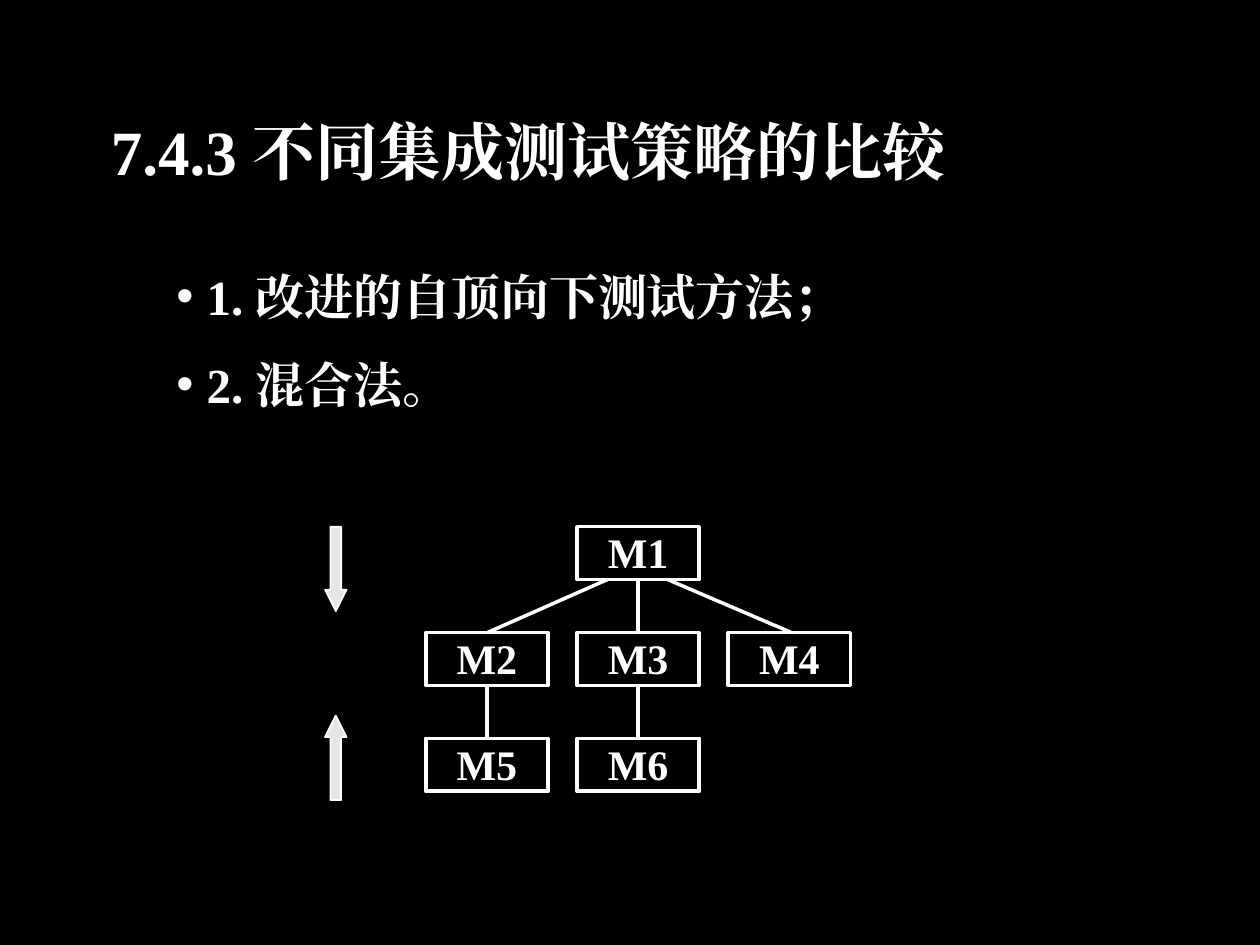
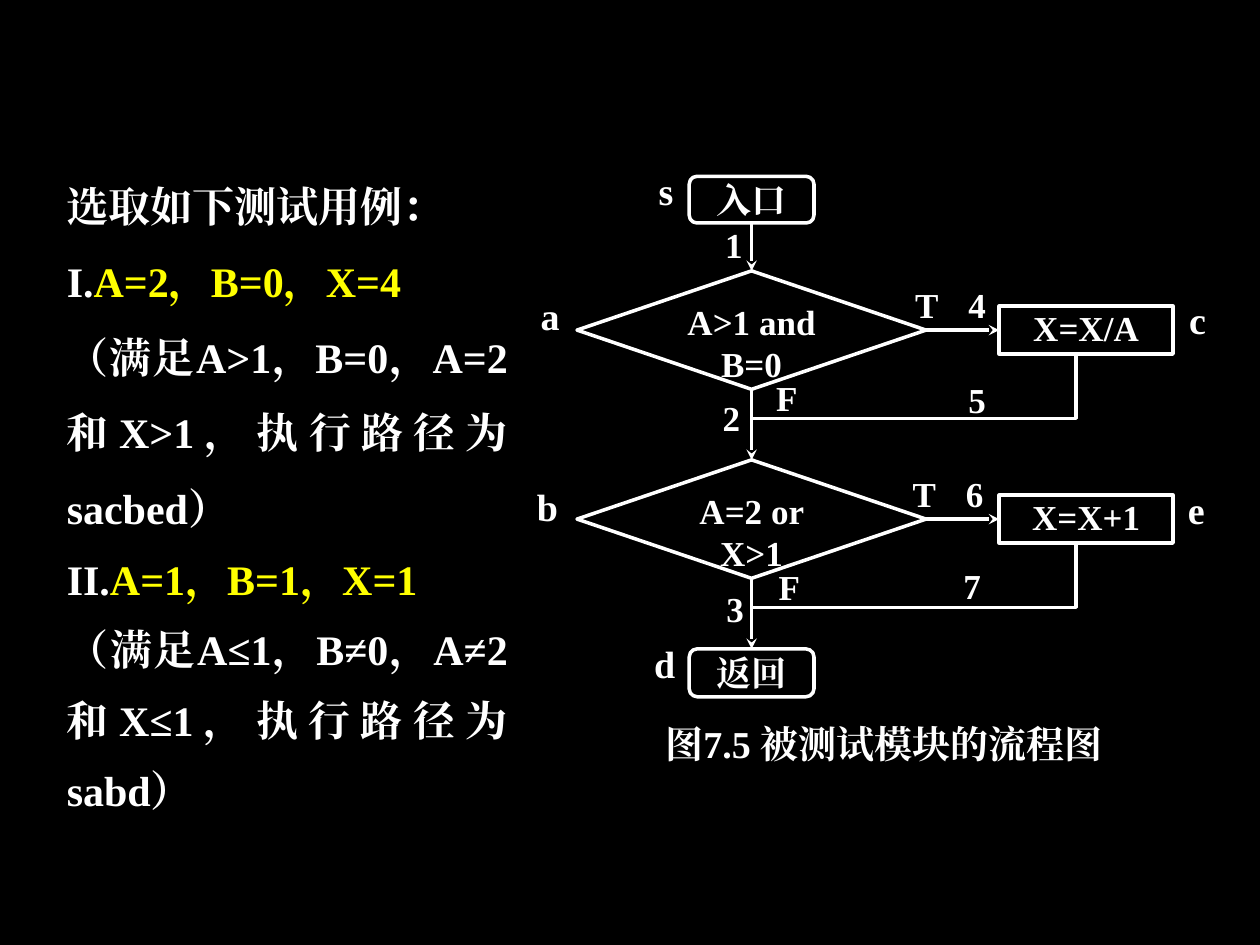
from dataclasses import dataclass

from lxml import etree
from pptx import Presentation
from pptx.dml.color import RGBColor
from pptx.enum.shapes import MSO_CONNECTOR as Connector, MSO_SHAPE as Shape
from pptx.enum.text import MSO_ANCHOR as Anchor, MSO_AUTO_SIZE as AutoSize, PP_ALIGN as Align
from pptx.oxml.ns import qn
from pptx.util import Inches, Pt


@dataclass(frozen=True)
class Theme:
    background = RGBColor(0x00, 0x00, 0x00)
    ink = RGBColor(0xFF, 0xFF, 0xFF)
    highlight = RGBColor(0xFF, 0xFF, 0x00)
    arrow = RGBColor(0xE7, 0xE6, 0xE6)
    font = "Times New Roman"
    title = Pt(36)
    bullet = Pt(28)
    text = Pt(24)
    label = Pt(21.7)
    flow = Pt(20)
    line = Pt(2)
    thin = Pt(1)


theme = Theme()


def add_node(slide, kind, text, left, top, width, height, size, spacing=1.0):
    """Add centred text in an outlined shape, or in a text box if kind is None."""
    box = [Inches(value) for value in (left, top, width, height)]
    if kind is None:
        node = slide.shapes.add_textbox(*box)
    else:
        node = slide.shapes.add_shape(kind, *box)
        node.fill.background()
        node.line.color.rgb = theme.ink
        node.line.width = theme.line
    frame = node.text_frame
    frame.word_wrap = True
    frame.vertical_anchor = Anchor.TOP
    frame.margin_left = frame.margin_right = frame.margin_top = frame.margin_bottom = 0
    frame.text = text
    paragraph = frame.paragraphs[0]
    paragraph.alignment = Align.CENTER
    paragraph.line_spacing = spacing
    paragraph.runs[0].font.size = size
    return node


def add_line(slide, start=(0, 0), end=(0, 0), arrow=False):
    """Add a straight line, with an arrowhead at its end if wanted."""
    ends = [Inches(value) for value in (*start, *end)]
    line = slide.shapes.add_connector(Connector.STRAIGHT, *ends)
    line.line.color.rgb = theme.ink
    line.line.width = theme.line
    properties = line._element.spPr
    if arrow:
        etree.SubElement(properties.find(qn("a:ln")), qn("a:tailEnd"), type="stealth")
    etree.SubElement(properties, qn("a:effectLst"))
    return line


presentation = Presentation()
presentation.slide_width = Inches(10)
presentation.slide_height = Inches(7.5)
background = presentation.slide_master.background.fill
background.solid()
background.fore_color.rgb = theme.background
layout = presentation.slide_layouts[1]

# Slide 1: title
slide = presentation.slides.add_slide(layout)
title = slide.shapes.title
title.left, title.top = Inches(0.78), Inches(0.84)
title.width, title.height = Inches(7.07), Inches(0.7)
frame = title.text_frame
frame.text = "7.4.3 不同集成测试策略的比较"
frame.word_wrap = False
frame.auto_size = AutoSize.NONE
frame.vertical_anchor = Anchor.TOP
frame.paragraphs[0].alignment = Align.LEFT
frame.paragraphs[0].runs[0].font.size = theme.title

# Slide 1: list of strategies
body = slide.placeholders[1]
body.left, body.top = Inches(1.3), Inches(1.83)
body.width, body.height = Inches(6.9), Inches(1.92)
frame = body.text_frame
frame.text = "1. 改进的自顶向下测试方法；\n2. 混合法。"
frame.auto_size = AutoSize.NONE
for paragraph in frame.paragraphs:
    paragraph.line_spacing = 1.5
    paragraph.space_before = Pt(0)
    paragraph.runs[0].font.size = theme.bullet
    properties = paragraph._p.get_or_add_pPr()
    properties.set("marL", str(Inches(0.24)))
    properties.set("indent", str(-Inches(0.24)))
    colour = etree.SubElement(properties, qn("a:buClr"))
    etree.SubElement(colour, qn("a:srgbClr"), val=str(theme.ink))
    etree.SubElement(properties, qn("a:buChar"), char="•")

# Slide 1: module tree on a grid of columns and rows
modules = {}
for name, column, row in [("M1", 1, 0), ("M2", 0, 1), ("M3", 1, 1),
                          ("M4", 2, 1), ("M5", 0, 2), ("M6", 1, 2)]:
    modules[name] = add_node(slide, Shape.RECTANGLE, name, 3.38 + 1.2 * column,
                             4.18 + 0.84 * row, 0.97, 0.42, theme.text)
for parent, child in [("M1", "M3"), ("M2", "M5"), ("M3", "M6")]:
    line = add_line(slide)
    line.begin_connect(modules[parent], 2)
    line.end_connect(modules[child], 0)
add_line(slide, (4.82, 4.6), (3.87, 5.02))
add_line(slide, (5.3, 4.6), (6.28, 5.02))

# Slide 1: direction arrows
for top, rotation in [(5.68, 0), (4.18, 180)]:
    arrow = slide.shapes.add_shape(Shape.UP_ARROW, Inches(2.58), Inches(top),
                                   Inches(0.17), Inches(0.67))
    arrow.adjustments[1] = 1.0
    arrow.rotation = rotation
    arrow.fill.solid()
    arrow.fill.fore_color.rgb = theme.arrow
    arrow.line.color.rgb = theme.ink
    arrow.line.width = theme.thin

# Slide 2: test cases
slide = presentation.slides.add_slide(layout)
empty_title = slide.shapes.title._element
empty_title.getparent().remove(empty_title)
body = slide.placeholders[1]
body.left, body.top = Inches(0.43), Inches(1.22)
body.width, body.height = Inches(3.7), Inches(5.3)
frame = body.text_frame
frame.auto_size = AutoSize.NONE
test_cases = [
    (1.4, "选取如下测试用例：", ""),
    (1.5, "I.", "A=2，B=0，X=4"),
    (1.5, "（满足A>1，B=0，A=2和X>1，执行路径为sacbed）", ""),
    (1.4, "II.", "A=1，B=1，X=1"),
    (1.4, "（满足A≤1，B≠0，A≠2和X≤1，执行路径为sabd）", ""),
]
frame.text = "\n".join(text for spacing, text, values in test_cases)
for paragraph, (spacing, text, values) in zip(frame.paragraphs, test_cases):
    paragraph.alignment = Align.JUSTIFY
    paragraph.line_spacing = spacing
    paragraph.space_before = Pt(0)
    if values:
        run = paragraph.add_run()
        run.text = values
        run.font.color.rgb = theme.highlight
    for run in paragraph.runs:
        run.font.size = theme.text
    properties = paragraph._p.get_or_add_pPr()
    properties.set("marL", "0")
    properties.set("indent", "0")
    etree.SubElement(properties, qn("a:buNone"))

# Slide 2: flowchart, with two stages of the same form
stage_gap = 1.5
previous = add_node(slide, Shape.FLOWCHART_ALTERNATE_PROCESS, "入口",
                    5.47, 1.4, 0.99, 0.37, theme.flow)
exit_node = add_node(slide, Shape.FLOWCHART_ALTERNATE_PROCESS, "返回",
                     5.47, 5.15, 0.99, 0.38, theme.flow)
joins = []
for stage, (condition, action) in enumerate([("A>1 and B=0", "X=X/A"),
                                             ("A=2 or X>1", "X=X+1")]):
    shift = stage * stage_gap
    decision = add_node(slide, Shape.FLOWCHART_DECISION, condition,
                        4.58, 2.15 + shift, 2.77, 0.94, theme.flow)
    process = add_node(slide, Shape.RECTANGLE, action,
                       7.93, 2.43 + shift, 1.38, 0.38, theme.flow)
    joins += [(previous, 2, decision, 0), (decision, 3, process, 1)]
    previous = decision
    # Return line from the action to the main path
    corners = [(Inches(x), Inches(y + shift))
               for x, y in [(8.54, 2.81), (8.54, 3.32), (5.97, 3.32)]]
    builder = slide.shapes.build_freeform(*corners[0])
    builder.add_line_segments(corners[1:], close=False)
    return_line = builder.convert_to_shape()
    return_line.fill.background()
    return_line.line.color.rgb = theme.ink
    return_line.line.width = theme.line
joins.append((previous, 2, exit_node, 0))
for source, source_side, target, target_side in joins:
    line = add_line(slide, arrow=True)
    line.begin_connect(source, source_side)
    line.end_connect(target, target_side)

# Slide 2: node names, branch letters and edge numbers
for name, left, top in [("s", 4.99, 1.4), ("a", 4.07, 2.39), ("b", 4.05, 3.91),
                        ("d", 4.98, 5.15), ("c", 9.21, 2.42), ("e", 9.2, 3.93)]:
    add_node(slide, None, name, left, top, 0.59, 0.38, theme.label, 0.8)
for mark, left, top in [("T", 7.06, 2.25), ("T", 7.04, 3.75), ("F", 5.95, 2.99),
                        ("F", 5.97, 4.49), ("1", 5.53, 1.77), ("2", 5.51, 3.15),
                        ("3", 5.54, 4.66), ("4", 7.46, 2.25), ("5", 7.46, 3),
                        ("6", 7.44, 3.75), ("7", 7.42, 4.48)]:
    add_node(slide, None, mark, left, top, 0.59, 0.38, theme.flow)
add_node(slide, None, "图7.5 被测试模块的流程图", 4.64, 5.79, 4.75, 0.37, theme.label, 0.8)

# Shared type style for all text, and no shadows
for slide in presentation.slides:
    for shape in slide.shapes:
        if not shape.has_text_frame:
            continue
        shape.shadow.inherit = False
        for paragraph in shape.text_frame.paragraphs:
            for run in paragraph.runs:
                run.font.name = theme.font
                run.font.bold = True
                if run.font.color.type is None:
                    run.font.color.rgb = theme.ink
                east_asian = etree.Element(qn("a:ea"), typeface=theme.font)
                run.font._element.find(qn("a:latin")).addnext(east_asian)

presentation.save("out.pptx")
